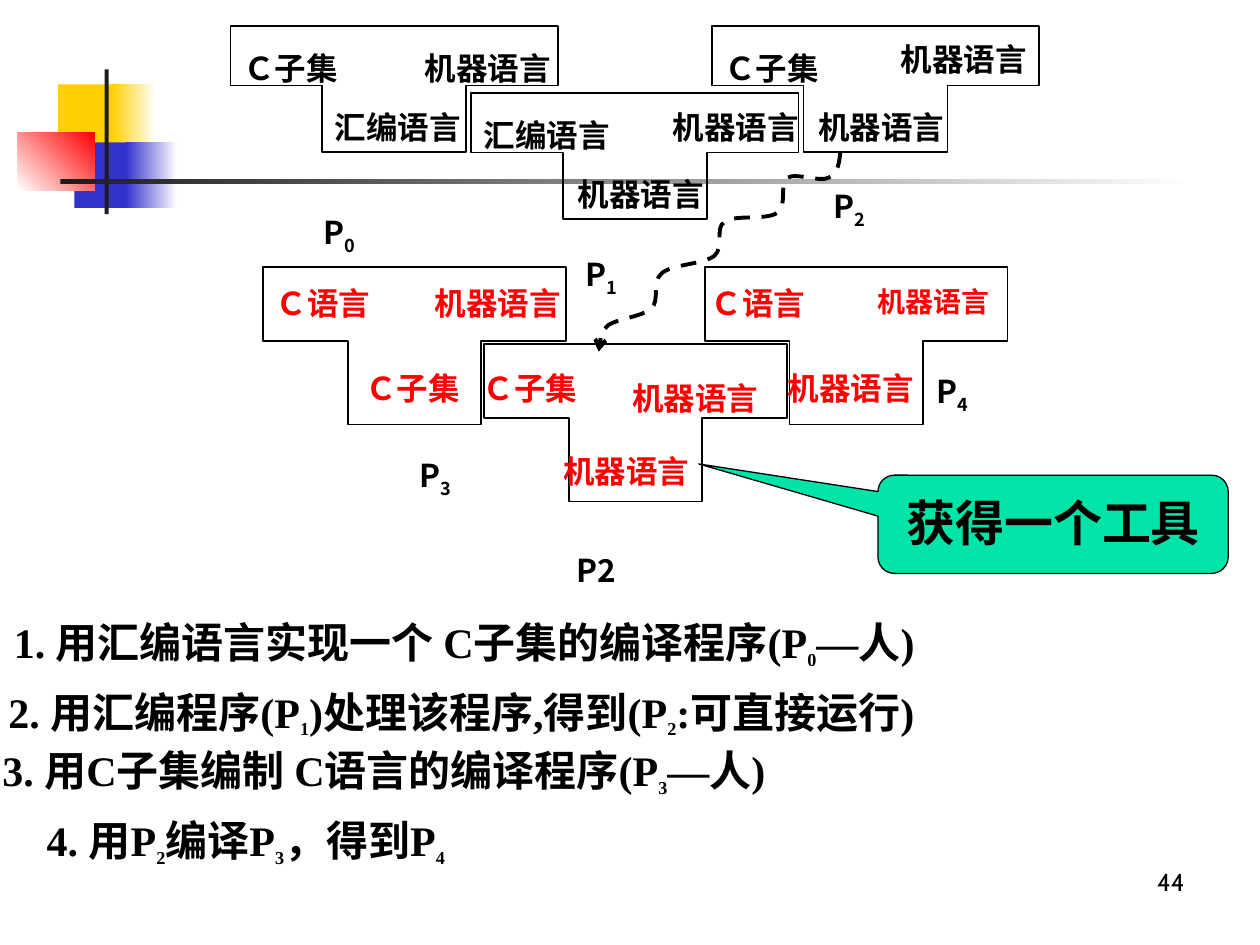
from itertools import chain
from lxml.etree import SubElement
from pptx import Presentation
from pptx.dml.color import RGBColor
from pptx.enum.dml import MSO_LINE
from pptx.enum.shapes import MSO_SHAPE
from pptx.enum.text import MSO_ANCHOR, PP_ALIGN
from pptx.oxml.ns import qn
from pptx.util import Cm, Pt

THEME = {
    "black": "000000", "red": "FF0000", "yellow": "FFCF01", "blue": "3333CC",
    "white": "FFFFFF", "bar": "1C1C1C", "mint": "00E4A8",
    "serif": "Times New Roman", "sans": "Noto Sans CJK SC", "number": "Cabin",
    "label": 18, "small_label": 16, "step": 24, "step_sub": 18,
    "callout": 28, "page": 14,
}

ORNAMENTS = [
    ((1.17, 1.7, 1.22, 1.32), ("yellow",), 0),
    ((2.24, 1.7, 0.91, 1.32), ("yellow", "white"), 0),
    ((1.5, 2.87, 1.17, 1.32), ("blue",), 0),
    ((2.54, 2.87, 1.02, 1.32), ("blue", "white"), 0),
    ((0.36, 2.67, 1.55, 1.17), ("white", "red"), 45),
    ((2.11, 1.4, 0.08, 2.92), ("bar",), 0),
    ((1.22, 3.61, 22.86, 0.1), ("bar", "white"), 0),
]

T_ROWS = [
    {"origin": (4.65, 0.53), "size": (6.6, 2.54), "step": 4.85, "drop": 1.35,
     "color": "black", "diagrams": [
         [("Ｃ子集", 0, 0.33), ("机器语言", 3.66, 0.33), ("汇编语言", 1.85, 1.52)],
         [("汇编语言", 0, 0.33), ("机器语言", 3.81, 0.18), ("机器语言", 1.9, 1.52)],
         [("Ｃ子集", 0, 0.33), ("机器语言", 3.56, 0.15), ("机器语言", 1.9, 1.52)]]},
    {"origin": (5.31, 5.38), "size": (6.1, 3.18), "step": 4.45, "drop": 1.55,
     "color": "red", "diagrams": [
         [("Ｃ语言", 0, 0.23), ("机器语言", 3.2, 0.23), ("Ｃ子集", 1.8, 1.93)],
         [("Ｃ子集", -0.28, 0.38), ("机器语言", 2.74, 0.58), ("机器语言", 1.35, 2.06)],
         [("Ｃ语言", -0.13, 0.23), ("机器语言", 3.23, 0.23, "small_label"),
          ("机器语言", 1.42, 1.93)]]},
]
STEM_LEFT, STEM_RIGHT, BAR_DEPTH = 0.28, 0.72, 0.47

PROGRAM_TAGS = [
    ("P~0", 6.27, 4.09), ("P~1", 11.56, 4.93), ("P~2", 16.56, 3.56),
    ("P~3", 8.2, 8.99), ("P~4", 18.62, 7.29), ("P2", 11.38, 10.9),
]

STEPS = [
    ("1. 用汇编语言实现一个 C子集的编译程序(P~0—人)", 0.03, 12.09, 1.2),
    ("2. 用汇编程序(P~1)处理该程序,得到(P~2:可直接运行)", -0.08, 13.49, 1.2),
    ("3. 用C子集编制 C语言的编译程序(P~3—人)", -0.2, 14.78, 1.1),
    ("4. 用P~2编译P~3，得到P~4", 0.69, 16.08, 1.2),
]

CALLOUT = ("获得一个工具", (17.7, 9.58, 7.06, 1.98), (-1.012, -0.615, 0.167))
PAGE_NUMBER = ("44", (18.21, 17.35, 5.92, 1.32))

REUSE_START = (16.94, 3.07)
REUSE_CURVE = [
    (16.92, 3.28), (16.89, 3.51), (16.71, 3.58), (16.54, 3.68), (16.05, 3.48), (15.88, 3.58),
    (15.7, 3.71), (15.88, 4.14), (15.67, 4.29), (15.44, 4.45), (14.81, 4.32), (14.61, 4.47),
    (14.4, 4.6), (14.61, 4.98), (14.4, 5.16), (14.17, 5.33), (13.54, 5.33), (13.34, 5.51),
    (13.13, 5.69), (13.31, 6.05), (13.13, 6.22), (12.95, 6.38), (12.45, 6.43), (12.27, 6.55),
    (12.09, 6.71), (12.09, 6.91), (12.07, 7.09),
]


def rgb(name):
    return RGBColor.from_string(THEME[name])


def write(frame, text, font, size, color="black", bold=True, sub=None,
          spacing=1.0, align=PP_ALIGN.LEFT):
    frame.word_wrap = True
    paragraph = frame.paragraphs[0]
    paragraph.alignment = align
    paragraph.line_spacing = spacing
    first, *rest = text.split("~")
    pieces = [(first, False)] + list(chain.from_iterable(
        ((part[0], True), (part[1:], False)) for part in rest))
    for words, lowered in pieces:
        if not words:
            continue
        run = paragraph.add_run()
        run.text = words
        run.font.size = Pt(THEME[sub if lowered and sub else size])
        run.font.bold = bold
        run.font.color.rgb = rgb(color)
        run.font.name = THEME[font]
        properties = run.font._element
        SubElement(properties, qn("a:ea")).set("typeface", THEME["sans"])
        if lowered:
            properties.set("baseline", "-25000")


def add_text(slide, box, text, font, size, **style):
    frame = slide.shapes.add_textbox(*map(Cm, box)).text_frame
    write(frame, text, font, size, **style)


def add_outline(slide, start, points, width, close):
    builder = slide.shapes.build_freeform(*map(Cm, start))
    builder.add_line_segments([(Cm(x), Cm(y)) for x, y in points], close=close)
    outline = builder.convert_to_shape()
    outline.shadow.inherit = False
    outline.fill.background()
    outline.line.color.rgb = rgb("black")
    outline.line.width = Pt(width)
    return outline


def add_ornament(slide, box, colors, angle):
    ornament = slide.shapes.add_shape(MSO_SHAPE.RECTANGLE, *map(Cm, box))
    ornament.shadow.inherit = False
    ornament.line.fill.background()
    if len(colors) == 1:
        ornament.fill.solid()
        ornament.fill.fore_color.rgb = rgb(colors[0])
        return
    ornament.fill.gradient()
    ornament.fill.gradient_angle = angle
    for stop, color in zip(ornament.fill.gradient_stops, colors):
        stop.color.rgb = rgb(color)


def add_t_row(slide, row):
    width, height = row["size"]
    for index, labels in enumerate(row["diagrams"]):
        left = row["origin"][0] + index * row["step"]
        top = row["origin"][1] + index % 2 * row["drop"]
        corners = [(0, BAR_DEPTH), (STEM_LEFT, BAR_DEPTH), (STEM_LEFT, 1),
                   (STEM_RIGHT, 1), (STEM_RIGHT, BAR_DEPTH), (1, BAR_DEPTH), (1, 0)]
        points = [(left + x * width, top + y * height) for x, y in corners]
        add_outline(slide, (left, top), points, 1, True)
        for text, dx, dy, *size in labels:
            add_text(slide, (left + dx, top + dy, 3.3, 1.02), text, "serif",
                     size[0] if size else "label", color=row["color"])


def add_reuse_arrow(slide):
    arrow = add_outline(slide, REUSE_START, REUSE_CURVE, 2.25, False)
    arrow.line.dash_style = MSO_LINE.DASH
    SubElement(arrow.line._get_or_add_ln(), qn("a:tailEnd")).set("type", "arrow")
    track = arrow._element.find(".//" + qn("a:path"))
    segments = track.findall(qn("a:lnTo"))
    for first in range(0, len(segments), 3):
        bend = SubElement(track, qn("a:cubicBezTo"))
        for segment in segments[first:first + 3]:
            bend.append(segment[0])
            track.remove(segment)


def add_callout(slide):
    text, box, adjustments = CALLOUT
    callout = slide.shapes.add_shape(MSO_SHAPE.ROUNDED_RECTANGULAR_CALLOUT, *map(Cm, box))
    for index, value in enumerate(adjustments):
        callout.adjustments[index] = value
    callout.shadow.inherit = False
    callout.fill.solid()
    callout.fill.fore_color.rgb = rgb("mint")
    callout.line.color.rgb = rgb("black")
    callout.line.width = Pt(0.75)
    callout.text_frame.vertical_anchor = MSO_ANCHOR.TOP
    write(callout.text_frame, text, "sans", "callout", spacing=1.1, align=PP_ALIGN.CENTER)


def main():
    deck = Presentation()
    deck.slide_width, deck.slide_height = Cm(25.4), Cm(19.05)
    slide = deck.slides.add_slide(deck.slide_layouts[6])
    for ornament in ORNAMENTS:
        add_ornament(slide, *ornament)
    for row in T_ROWS:
        add_t_row(slide, row)
    for text, left, top in PROGRAM_TAGS:
        add_text(slide, (left, top, 2.2, 1.2), text, "sans", "label", spacing=1.1)
    add_reuse_arrow(slide)
    add_callout(slide)
    for text, left, top, spacing in STEPS:
        add_text(slide, (left, top, 23.5, 1.55), text, "serif", "step",
                 sub="step_sub", spacing=spacing)
    number, box = PAGE_NUMBER
    add_text(slide, box, number, "number", "page", bold=False, align=PP_ALIGN.RIGHT)
    deck.save("out.pptx")


if __name__ == "__main__":
    main()
